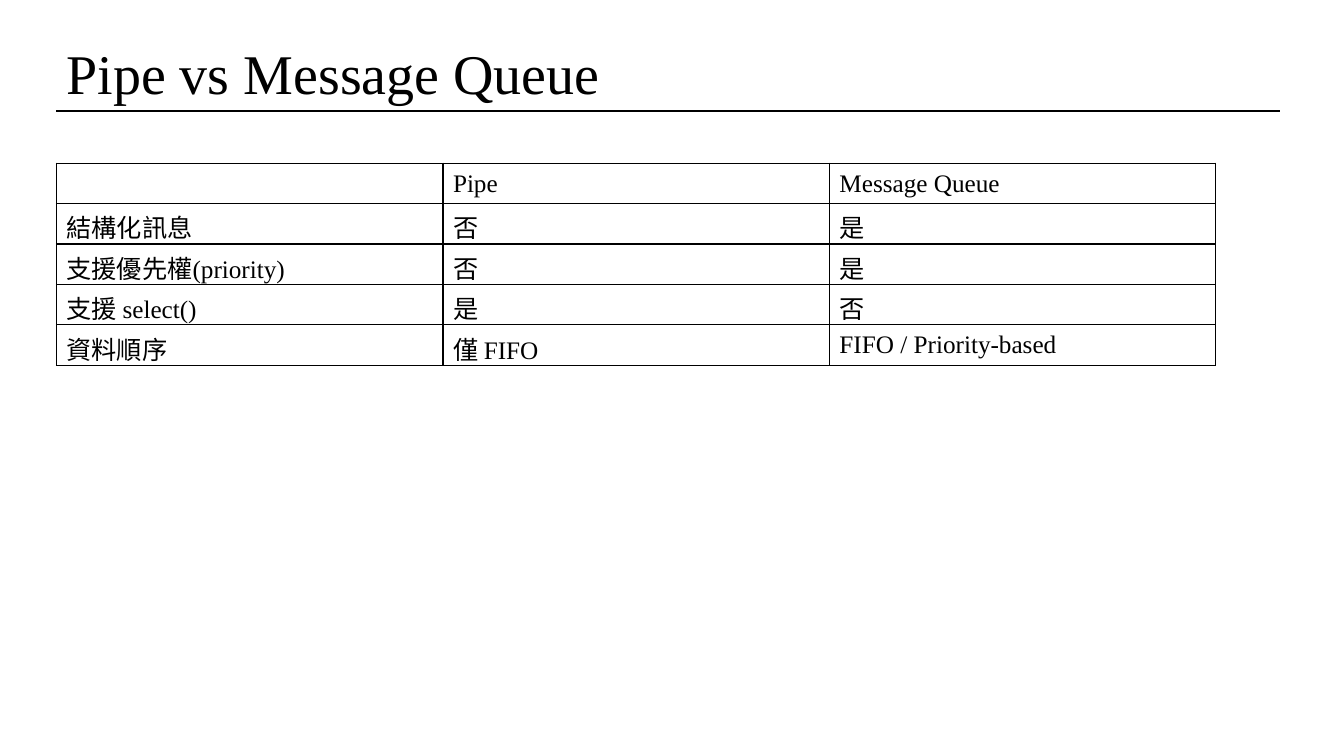
from lxml import etree
from pptx import Presentation
from pptx import util as u
from pptx.dml import color
from pptx.enum import shapes, text
from pptx.oxml import ns

FEATURES = [
    ["", "Pipe", "Message Queue"],
    ["結構化訊息", "否", "是"],
    ["支援優先權(priority)", "否", "是"],
    ["支援 select()", "是", "否"],
    ["資料順序", "僅 FIFO", "FIFO / Priority-based"],
]


def rgb(value):
    return color.RGBColor.from_string(value)


class SlideBuilder:
    font = "Times New Roman"
    ink = "000000"
    left = 0.56

    def __init__(self, presentation):
        layout = presentation.slide_layouts.get_by_name("Title Only")
        self.slide = presentation.slides.add_slide(layout)

    def add_run(self, paragraph, words, size):
        run = paragraph.add_run()
        run.text = words
        run.font.name = self.font
        run.font.size = u.Pt(size)
        run.font.color.rgb = rgb(self.ink)

    def title(self, words, top, width, height):
        title = self.slide.shapes.title
        title.left, title.top = u.Inches(self.left), u.Inches(top)
        title.width, title.height = u.Inches(width), u.Inches(height)
        frame = title.text_frame
        frame.word_wrap = True
        frame.auto_size = text.MSO_AUTO_SIZE.SHAPE_TO_FIT_TEXT
        frame.vertical_anchor = text.MSO_ANCHOR.TOP
        paragraph = frame.paragraphs[0]
        paragraph.alignment = text.PP_ALIGN.LEFT
        self.add_run(paragraph, words, 40)

    def rule(self, top, right):
        line = self.slide.shapes.add_connector(
            shapes.MSO_CONNECTOR.STRAIGHT,
            u.Inches(self.left), u.Inches(top), u.Inches(right), u.Inches(top))
        line.line.color.rgb = rgb(self.ink)
        line.line.width = u.Pt(1.5)
        etree.SubElement(line._element.spPr, ns.qn("a:effectLst"))

    def border(self, cell):
        """Draw a thin line on all four sides of a cell."""
        properties = cell._tc.get_or_add_tcPr()
        for side in ("lnL", "lnR", "lnT", "lnB"):
            line = etree.SubElement(properties, ns.qn(f"a:{side}"), w=str(u.Pt(1)))
            fill = etree.SubElement(line, ns.qn("a:solidFill"))
            etree.SubElement(fill, ns.qn("a:srgbClr"), val=self.ink)

    def table(self, rows, top, width, height):
        frame = self.slide.shapes.add_table(
            len(rows), len(rows[0]), u.Inches(self.left), u.Inches(top),
            u.Inches(width), u.Inches(height))
        table = frame.table
        table.first_row = table.horz_banding = False
        for row, values in zip(table.rows, rows):
            for cell, words in zip(row.cells, values):
                cell.vertical_anchor = text.MSO_ANCHOR.MIDDLE
                self.border(cell)
                cell.fill.background()
                if words:
                    self.add_run(cell.text_frame.paragraphs[0], words, 18)


def main():
    presentation = Presentation()
    presentation.slide_width = u.Inches(13.33)
    presentation.slide_height = u.Inches(7.5)
    builder = SlideBuilder(presentation)
    builder.rule(top=1.1, right=12.7)
    builder.title("Pipe vs Message Queue", top=0.33, width=7.75, height=0.77)
    builder.table(FEATURES, top=1.62, width=11.5, height=2)
    presentation.save("out.pptx")


if __name__ == "__main__":
    main()
